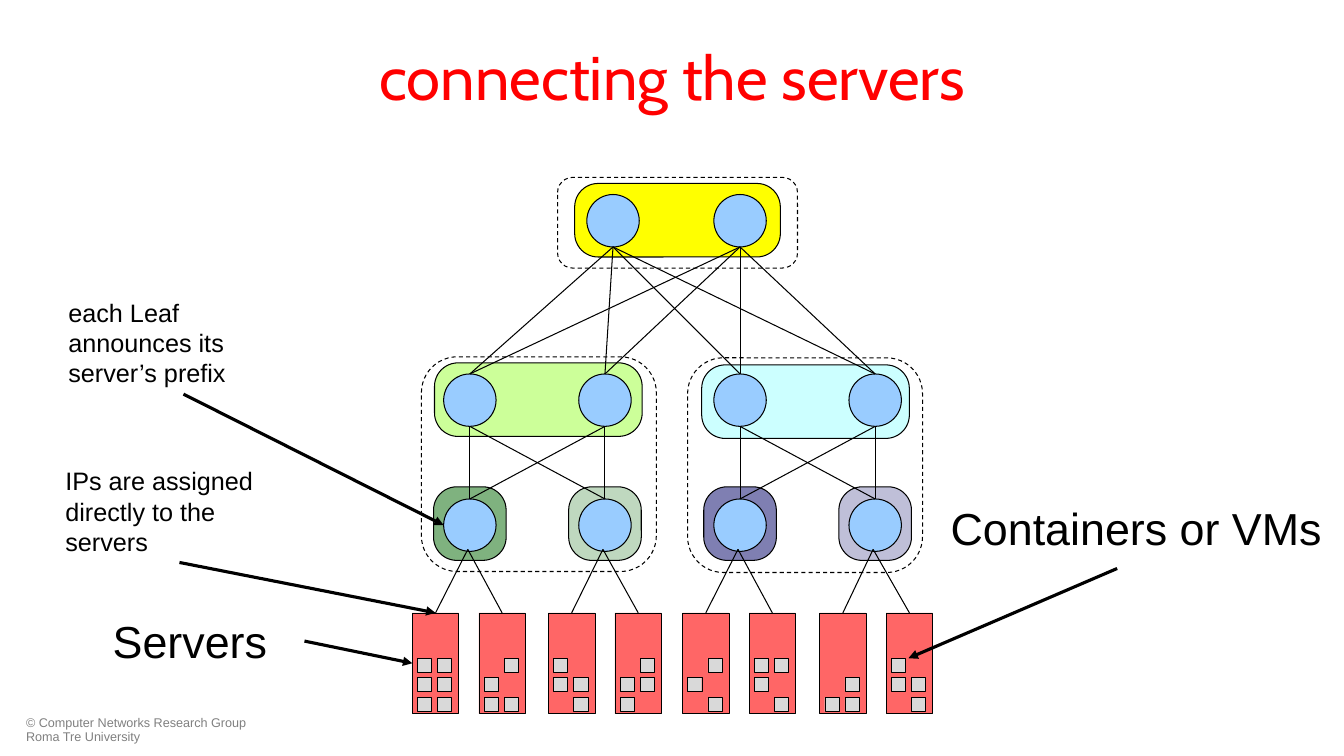
from dataclasses import dataclass
from itertools import product

from lxml.etree import SubElement
from pptx import Presentation
from pptx.dml.color import RGBColor
from pptx.enum.dml import MSO_LINE_DASH_STYLE as DASH
from pptx.enum.shapes import MSO_AUTO_SHAPE_TYPE as SHAPE, MSO_CONNECTOR_TYPE as CONNECTOR
from pptx.enum.text import MSO_VERTICAL_ANCHOR as ANCHOR, PP_PARAGRAPH_ALIGNMENT as ALIGN
from pptx.oxml.ns import qn
from pptx.util import Inches, Pt


@dataclass(frozen=True)
class Theme:
    black: str = "000000"
    grey: str = "808080"
    red: str = "FF0000"
    spine: str = "FFFF00"
    left_pod: str = "CCFF99"
    right_pod: str = "CCFFFF"
    left_leaf: str = "006600"
    right_leaf: str = "000066"
    node: str = "99CCFF"
    server: str = "FF6666"
    vm: str = "D9D9D9"
    body_font: str = "Arial"
    title_font: str = "Cabin"
    title: int = 44
    label: int = 32
    note: int = 18
    footer: int = 9
    thin: float = 0.25
    line: float = 0.75
    arrow: float = 2.25


THEME = Theme()
NODE = 0.52
COLUMNS = [4.4 + 1.34 * i for i in range(4)]
SPINE_XS = (5.82, 7.08)
SPINE_Y, POD_Y, LEAF_Y = 1.93, 3.71, 4.95
SERVER_Y = 6.08
SERVER_PAIRS = (4.09, 5.44, 6.77, 8.13)
VM_ROWS = (6.53, 6.72, 6.92)
VM_COLS = (0.05, 0.25)
VM_LAYOUTS = (
    ("11", "11", "11"), ("01", "10", "11"),
    ("10", "11", "01"), ("01", "11", "10"),
    ("01", "10", "01"), ("11", "10", "01"),
    ("00", "01", "11"), ("10", "11", "01"),
)


def apply(target, values):
    for name, value in values.items():
        setattr(target, name, value)


def add_text(s, text, box, size, color=THEME.black, font=THEME.body_font,
             anchor=ANCHOR.TOP, **paragraph):
    tf = s.shapes.add_textbox(*map(Inches, box)).text_frame
    apply(tf, {"word_wrap": True, "vertical_anchor": anchor})
    p = tf.paragraphs[0]
    apply(p, paragraph)
    r = p.add_run()
    r.text = text
    apply(r.font, {"size": Pt(size), "name": font})
    r.font.color.rgb = RGBColor.from_string(color)


def add_box(s, kind, box, fill=None, width=THEME.line, alpha=None, adj=None, dash=None):
    sp = s.shapes.add_shape(kind, *map(Inches, box))
    sp.shadow.inherit = False
    if fill:
        sp.fill.solid()
        sp.fill.fore_color.rgb = RGBColor.from_string(fill)
    else:
        sp.fill.background()
    if alpha:
        color = sp.fill._xPr.find(qn("a:solidFill"))[0]
        SubElement(color, qn("a:alpha"), val=str(alpha * 1000))
    if adj:
        sp.adjustments[0] = adj
    sp.line.color.rgb = RGBColor.from_string(THEME.black)
    apply(sp.line, {"width": Pt(width), "dash_style": dash})
    return sp


def add_line(s, start, end, width=THEME.line, target=None, site=0):
    cx = s.shapes.add_connector(CONNECTOR.STRAIGHT, *map(Inches, (*start, *end)))
    if target:
        cx.end_connect(target, site)
    cx.line.color.rgb = RGBColor.from_string(THEME.black)
    cx.line.width = Pt(width)
    SubElement(cx._element.spPr, qn("a:effectLst"))
    return cx


def add_arrow(s, start, end, target=None, site=0):
    cx = add_line(s, start, end, THEME.arrow, target, site)
    SubElement(cx.line._get_or_add_ln(), qn("a:tailEnd"), type="triangle")


def add_groups(s):
    solid = [
        ((5.7, 1.82, 2.04, 0.73), THEME.spine, None),
        ((4.31, 3.6, 2.06, 0.73), THEME.left_pod, None),
        ((6.96, 3.62, 2.06, 0.73), THEME.right_pod, None),
    ]
    leaf_fills = product((THEME.left_leaf, THEME.right_leaf), (50, 25))
    for x, (fill, alpha) in zip(COLUMNS, leaf_fills):
        solid.append(((x - 0.1, 4.83, 0.72, 0.73), fill, alpha))
    for box, fill, alpha in solid:
        add_box(s, SHAPE.ROUNDED_RECTANGLE, box, fill, alpha=alpha, adj=0.32)
    for box in ((4.18, 3.54, 2.33, 2.13), (6.82, 3.55, 2.33, 2.13), (5.53, 1.76, 2.38, 0.9)):
        add_box(s, SHAPE.ROUNDED_RECTANGLE, box, dash=DASH.DASH)


def add_nodes(s):
    spots = [*product(SPINE_XS, (SPINE_Y,)), *product(COLUMNS, (POD_Y, LEAF_Y))]
    for x, y in spots:
        add_box(s, SHAPE.OVAL, (x, y, NODE, NODE), THEME.node)


def add_mesh(s, upper_xs, upper_y, lower_xs, lower_y):
    for a, b in product(upper_xs, lower_xs):
        add_line(s, (a + NODE / 2, upper_y + NODE), (b + NODE / 2, lower_y))


def add_server(s, x, layout):
    server = add_box(s, SHAPE.RECTANGLE, (x, SERVER_Y, 0.46, 1), THEME.server, THEME.thin)
    for y, row in zip(VM_ROWS, layout):
        for dx, used in zip(VM_COLS, row):
            if used == "1":
                add_box(s, SHAPE.RECTANGLE, (x + dx, y, 0.14, 0.14), THEME.vm, THEME.thin)
    return server


def main():
    prs = Presentation()
    apply(prs, {"slide_width": Inches(13.33), "slide_height": Inches(7.5)})
    s = prs.slides.add_slide(prs.slide_layouts[6])

    add_text(s, "© Computer Networks Research Group Roma Tre University",
             (0.16, 7.06, 2.49, 0.36), THEME.footer, THEME.grey, line_spacing=0.9)
    add_text(s, "connecting the servers", (0.67, 0.13, 12, 1.25), THEME.title,
             THEME.red, THEME.title_font, ANCHOR.MIDDLE, alignment=ALIGN.CENTER)

    add_groups(s)
    add_nodes(s)
    add_mesh(s, SPINE_XS, SPINE_Y, COLUMNS, POD_Y)
    for pod in (COLUMNS[:2], COLUMNS[2:]):
        add_mesh(s, pod, POD_Y, pod, LEAF_Y)

    server_xs = [x + dx for x, dx in product(SERVER_PAIRS, (0, 0.66))]
    servers = [add_server(s, x, vms) for x, vms in zip(server_xs, VM_LAYOUTS)]
    for i, server in enumerate(servers):
        leaf = (COLUMNS[i // 2] + 0.24, 5.45)
        add_line(s, leaf, (server_xs[i] + 0.23, SERVER_Y), target=server)

    add_text(s, "Servers", (1.02, 6.04, 2, 0.64), THEME.label)
    add_text(s, "Containers or VMs", (9.33, 4.92, 4.19, 0.64), THEME.label)
    add_text(s, "IPs are assigned directly to the servers", (0.55, 4.57, 2.47, 1.01), THEME.note)
    add_text(s, "each Leaf announces its server’s prefix", (0.58, 2.9, 2.47, 1.01), THEME.note)

    add_arrow(s, (3.02, 6.36), (4.09, 6.58), servers[0], 1)
    add_arrow(s, (1.78, 5.58), (4.32, 6.08), servers[0], 0)
    add_arrow(s, (1.82, 3.91), (4.4, 5.21))
    add_arrow(s, (11.08, 5.64), (9.01, 6.53))

    prs.save("out.pptx")


if __name__ == "__main__":
    main()
